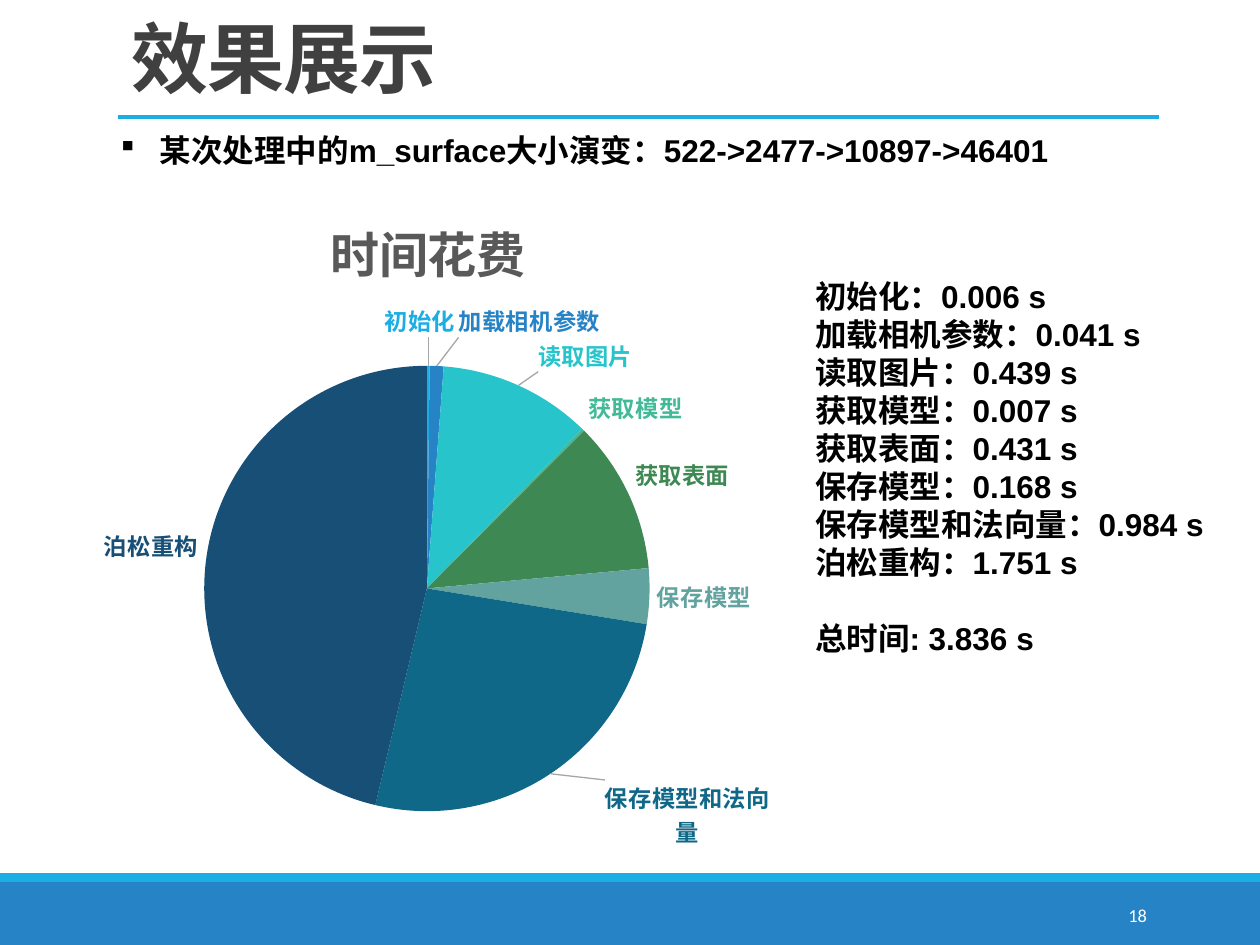
import pptx
import pptx.util
import pptx.chart.data
import pptx.dml.color
import pptx.enum.chart
import pptx.enum.shapes
import pptx.enum.text
import pptx.oxml
import pptx.oxml.ns
from lxml import etree

Inches, Pt = pptx.util.Inches, pptx.util.Pt
RGB = pptx.dml.color.RGBColor.from_string
PP_ALIGN = pptx.enum.text.PP_ALIGN
ANCHOR = pptx.enum.text.MSO_ANCHOR
qn = pptx.oxml.ns.qn

THEME = {
    "latin": "Arial", "number": "Calibri", "cjk": "Noto Sans CJK SC", "bullet": "Wingdings",
    "title": 44, "body": 18, "page": 10.5, "chart_title": 28, "label": 13.3,
    "heading": "404040", "text": "000000", "white": "FFFFFF", "leader": "A6A6A6",
    "chart_heading": "595959", "accent": "1CADE4", "footer": "2683C6",
    "slices": ["1CADE4", "2683C6", "28C4CC", "42BA97",
               "3E8853", "62A39F", "106889", "174F77"],
}
TIMES = {"初始化": 0.006, "加载相机参数": 0.041, "读取图片": 0.439,
         "获取模型": 0.007, "获取表面": 0.431, "保存模型": 0.168,
         "保存模型和法向量": 0.984, "泊松重构": 1.751}
LABEL_SHIFTS = {"初始化": (-0.01, -0.03), "加载相机参数": (0.11, -0.03),
                "读取图片": (0.02, -0.01), "保存模型和法向量": (0.06, 0)}


def set_font(font, name, size, color, bold=True):
    font.name, font.size, font.bold = name, Pt(size), bold
    font.color.rgb = RGB(color)
    ea = etree.Element(qn("a:ea"))
    ea.set("typeface", name)
    font._element.find(qn("a:latin")).addnext(ea)


def make_layout(**values):
    layout = etree.Element(qn("c:layout"))
    manual = etree.SubElement(layout, qn("c:manualLayout"))
    for tag, value in values.items():
        etree.SubElement(manual, qn("c:" + tag)).set("val", str(value))
    return layout


prs = pptx.Presentation()
prs.slide_width, prs.slide_height = Inches(10), Inches(7.5)
s = prs.slides.add_slide(prs.slide_layouts[5])

for top, height, color in [(7, 0.5, THEME["footer"]), (6.93, 0.07, THEME["accent"])]:
    bar = s.shapes.add_shape(pptx.enum.shapes.MSO_SHAPE.RECTANGLE,
                             0, Inches(top), Inches(10), Inches(height))
    bar.shadow.inherit = False
    bar.fill.solid()
    bar.fill.fore_color.rgb = RGB(color)
    bar.line.fill.background()

rule = s.shapes.add_connector(pptx.enum.shapes.MSO_CONNECTOR.STRAIGHT,
                              Inches(0.94), Inches(0.93), Inches(9.2), Inches(0.93))
rule.line.color.rgb = RGB(THEME["accent"])
rule.line.width = Pt(2.25)
etree.SubElement(rule._element.spPr, qn("a:effectLst"))

title = s.shapes.title
title.left, title.top = Inches(0.94), Inches(-0.08)
title.width, title.height = Inches(7.46), Inches(0.95)
tf = title.text_frame
tf.text = "效果展示"
tf.auto_size = pptx.enum.text.MSO_AUTO_SIZE.NONE
tf.vertical_anchor = ANCHOR.BOTTOM
p = tf.paragraphs[0]
p.alignment, p.line_spacing = PP_ALIGN.LEFT, 0.85
set_font(p.font, THEME["latin"], THEME["title"], THEME["heading"])
p.font._element.set("spc", "-50")

page = s.shapes.add_textbox(Inches(8.12), Inches(7.06), Inches(1.08), Inches(0.4))
tf = page.text_frame
tf.text = "18"
tf.word_wrap = True
tf.vertical_anchor = ANCHOR.MIDDLE
p = tf.paragraphs[0]
p.alignment = PP_ALIGN.RIGHT
set_font(p.font, THEME["number"], THEME["page"], THEME["white"], False)

sizes = s.shapes.add_textbox(Inches(0.86), Inches(0.99), Inches(8.41), Inches(0.4))
tf = sizes.text_frame
tf.text = "某次处理中的m_surface大小演变：522->2477->10897->46401"
tf.word_wrap = True
p = tf.paragraphs[0]
p.line_spacing = Pt(21.7)
set_font(p.font, THEME["latin"], THEME["body"], THEME["text"])
pPr = p._p.get_or_add_pPr()
pPr.set("marL", str(Inches(0.31)))
pPr.set("indent", str(Inches(-0.31)))
for tag, key, value in [("a:buFont", "typeface", THEME["bullet"]), ("a:buChar", "char", "§")]:
    bullet = etree.Element(qn(tag))
    bullet.set(key, value)
    pPr.find(qn("a:defRPr")).addprevious(bullet)

data = pptx.chart.data.CategoryChartData()
data.categories = list(TIMES)
shares = [100 * t / sum(TIMES.values()) for t in TIMES.values()]
data.add_series("时间花费", [round(share) or round(share, 1) for share in shares])
chart = s.shapes.add_chart(pptx.enum.chart.XL_CHART_TYPE.PIE, Inches(-0.18), Inches(1.44),
                           Inches(6.67), Inches(5.62), data).chart
chart.has_legend = False
chart.font.name, chart.font.size = THEME["number"], Pt(10)
tf = chart.chart_title.text_frame
tf.text = "时间花费"
set_font(tf.paragraphs[0].font, THEME["cjk"], THEME["chart_title"], THEME["chart_heading"])
title_xml = chart.chart_title._element
for old in title_xml.findall(qn("c:layout")):
    title_xml.remove(old)
title_xml.find(qn("c:tx")).addnext(make_layout(xMode="edge", yMode="edge", x=0.41, y=0.03))
plot_area = chart._chartSpace.chart.plotArea
for old in plot_area.findall(qn("c:layout")):
    plot_area.remove(old)
plot_area.insert(0, make_layout(layoutTarget="inner", xMode="edge", yMode="edge",
                                x=0.27, y=0.26, w=0.53, h=0.63))

chart.plots[0].vary_by_categories = True
series = chart.plots[0].series[0]
labels = series.data_labels
labels.show_value, labels.show_category_name = False, True
labels.position = pptx.enum.chart.XL_LABEL_POSITION.OUTSIDE_END
set_font(labels.font, THEME["cjk"], THEME["label"], THEME["accent"])
for i, (name, color) in enumerate(zip(TIMES, THEME["slices"])):
    point = series.points[i]
    point.format.fill.solid()
    point.format.fill.fore_color.rgb = RGB(color)
    point.format.line.fill.background()
    set_font(point.data_label.font, THEME["cjk"], THEME["label"], color)
    point.data_label.position = pptx.enum.chart.XL_LABEL_POSITION.OUTSIDE_END
    label_xml = labels._element.findall(qn("c:dLbl"))[i]
    label_xml.find(qn("c:showVal")).set("val", "0")
    label_xml.find(qn("c:showCatName")).set("val", "1")
    if name in LABEL_SHIFTS:
        x, y = LABEL_SHIFTS[name]
        label_xml.insert(1, make_layout(x=x, y=y))
for old in labels._element.findall(qn("c:showLeaderLines")):
    labels._element.remove(old)
etree.SubElement(labels._element, qn("c:showLeaderLines")).set("val", "1")
leader = etree.SubElement(labels._element, qn("c:leaderLines"))
leader_line = etree.SubElement(etree.SubElement(leader, qn("c:spPr")), qn("a:ln"))
leader_line.set("w", str(Pt(0.75)))
leader_fill = etree.SubElement(leader_line, qn("a:solidFill"))
etree.SubElement(leader_fill, qn("a:srgbClr")).set("val", THEME["leader"])

times = s.shapes.add_textbox(Inches(6.37), Inches(2.15), Inches(3.39), Inches(3.13))
tf = times.text_frame
tf.word_wrap = False
tf.text = "\n".join([f"{name}：{t:.3f} s" for name, t in TIMES.items()] + ["总时间: 3.836 s"])
for p in tf.paragraphs:
    p.line_spacing = Pt(21.7)
    set_font(p.font, THEME["latin"], THEME["body"], THEME["text"])
tf.paragraphs[-1].space_before = Pt(21.7)

prs.save("out.pptx")
